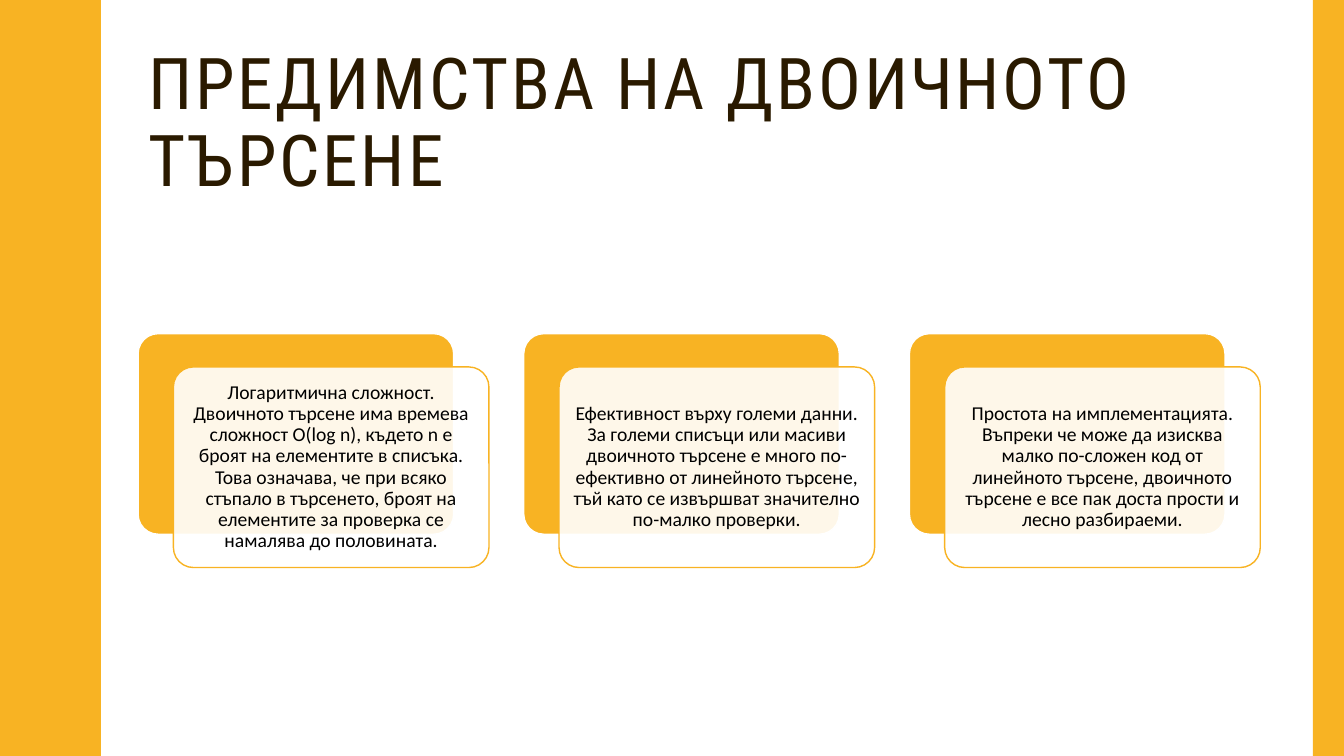
from dataclasses import dataclass

from lxml.etree import SubElement
from pptx import Presentation
from pptx.dml.color import RGBColor
from pptx.enum.shapes import MSO_SHAPE
from pptx.enum.text import MSO_ANCHOR, PP_ALIGN
from pptx.oxml.ns import qn
from pptx.util import Inches, Pt


@dataclass(frozen=True)
class Theme:
    gold: str = "F8B323"
    dark: str = "2A1A00"
    white: str = "FFFFFF"
    black: str = "000000"
    head: str = "Roboto Condensed"
    body: str = "Calibri"
    big: int = 51
    small: int = 14


WIDTH, HEIGHT = 13.33, 7.5
PERIOD = 1.5
# Left half of one wave: from the trough to the crest.
RISE = [
    (0.78, 0), (0.78, 0.07), (0.79, 0.14), (0.8, 0.2), (0.81, 0.25),
    (0.83, 0.29), (0.85, 0.33), (0.87, 0.38), (0.89, 0.42), (0.91, 0.46),
    (0.93, 0.5), (0.95, 0.55), (0.96, 0.61), (0.97, 0.68), (0.97, 0.75),
]
FIRST, LAST, TOP = 1.37, 9.02, 3.31
CARD = 3.13, 1.99
SHIFT = 0.35, 0.33
TITLE = "ПРЕДИМСТВА НА ДВОИЧНОТО ТЪРСЕНЕ"
POINTS = [
    "Логаритмична сложност. Двоичното търсене има времева сложност O(log n), "
    "където n е броят на елементите в списъка. Това означава, че при всяко "
    "стъпало в търсенето, броят на елементите за проверка се намалява до половината.",
    "Ефективност върху големи данни. За големи списъци или масиви двоичното "
    "търсене е много по-ефективно от линейното търсене, тъй като се извършват "
    "значително по-малко проверки.",
    "Простота на имплементацията. Въпреки че може да изисква малко по-сложен "
    "код от линейното търсене, двоичното търсене е все пак доста прости и "
    "лесно разбираеми.",
]


class Deck:
    def __init__(self, slide, theme):
        self.slide, self.theme = slide, theme
        back = slide.background.fill
        back.solid()
        back.fore_color.rgb = RGBColor.from_string(theme.white)

    def paint(self, shape, color, line=None):
        shape.shadow.inherit = False
        shape.fill.solid()
        shape.fill.fore_color.rgb = RGBColor.from_string(color)
        if line:
            shape.line.color.rgb = RGBColor.from_string(line)
            shape.line.width = Pt(1)
        else:
            shape.line.fill.background()

    def label(self, frame, text, font, size, color, align):
        """Set one formatted paragraph and return its run."""
        frame.text = text
        frame.word_wrap = True
        frame.vertical_anchor = MSO_ANCHOR.MIDDLE
        para = frame.paragraphs[0]
        para.alignment, para.line_spacing = align, 0.9
        run = para.runs[0]
        run.font.name, run.font.size = font, Pt(size)
        run.font.color.rgb = RGBColor.from_string(color)
        return run

    def wave(self):
        """Draw the left band, whose right edge repeats a mirrored half wave."""
        fall = [(x, PERIOD - y) for x, y in reversed(RISE[1:-1])]
        edge = [(x, y + PERIOD * turn)
                for turn in range(round(HEIGHT / PERIOD)) for x, y in RISE + fall]
        edge += [(RISE[0][0], HEIGHT), (0, HEIGHT)]
        build = self.slide.shapes.build_freeform(0, 0, scale=Inches(1))
        build.add_line_segments(edge, close=True)
        self.paint(build.convert_to_shape(), self.theme.gold)

    def block(self, kind, left, top, width, height, color, line=None):
        shape = self.slide.shapes.add_shape(
            kind, Inches(left), Inches(top), Inches(width), Inches(height))
        self.paint(shape, color, line)
        return shape

    def title(self, text, left, top, width, height):
        look = self.theme
        box = self.slide.shapes.add_textbox(
            Inches(left), Inches(top), Inches(width), Inches(height))
        run = self.label(box.text_frame, text, look.head, look.big,
                         look.dark, PP_ALIGN.LEFT)
        run._r.get_or_add_rPr().set("spc", "200")

    def plate(self, left, top, color, line):
        shape = self.block(MSO_SHAPE.ROUNDED_RECTANGLE, left, top, *CARD, color, line)
        shape.adjustments[0] = 0.1
        return shape

    def card(self, text, left, top):
        """Lay a translucent text panel over a shifted gold plate."""
        look = self.theme
        self.plate(left, top, look.gold, look.white)
        panel = self.plate(left + SHIFT[0], top + SHIFT[1], look.white, look.gold)
        tint = panel._element.spPr.find(qn("a:solidFill"))[0]
        SubElement(tint, qn("a:alpha")).set("val", "90000")
        frame = panel.text_frame
        frame.margin_left = frame.margin_right = Inches(0.06)
        frame.margin_top = frame.margin_bottom = Inches(0.06)
        self.label(frame, text, look.body, look.small, look.black, PP_ALIGN.CENTER)


def main():
    show = Presentation()
    show.slide_width, show.slide_height = Inches(WIDTH), Inches(HEIGHT)
    theme = Theme()
    deck = Deck(show.slides.add_slide(show.slide_layouts[6]), theme)
    deck.title(TITLE, 1.37, 0.42, 11.13, 1.63)
    deck.wave()
    deck.block(MSO_SHAPE.RECTANGLE, 13.02, 0, 0.31, HEIGHT, theme.gold)
    step = (LAST - FIRST) / (len(POINTS) - 1)
    for spot, text in enumerate(POINTS):
        deck.card(text, FIRST + spot * step, TOP)
    show.save("out.pptx")


if __name__ == "__main__":
    main()
